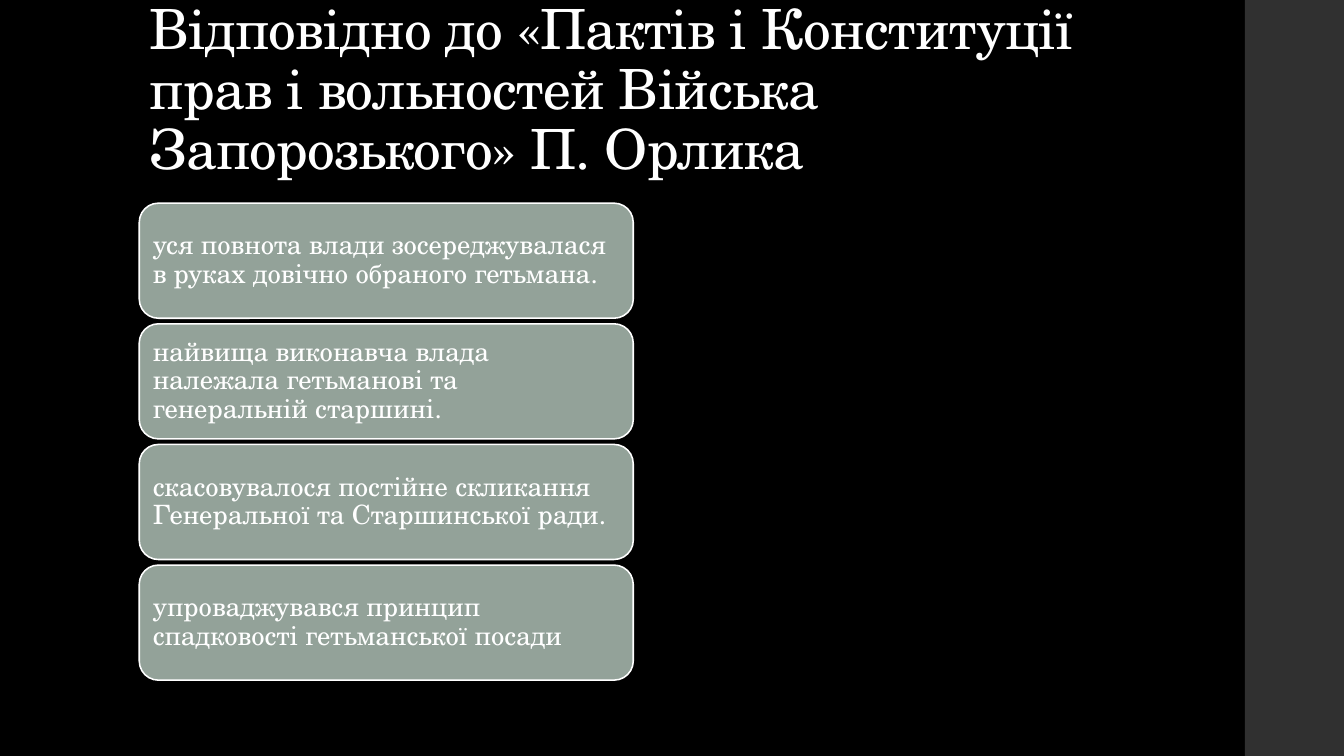
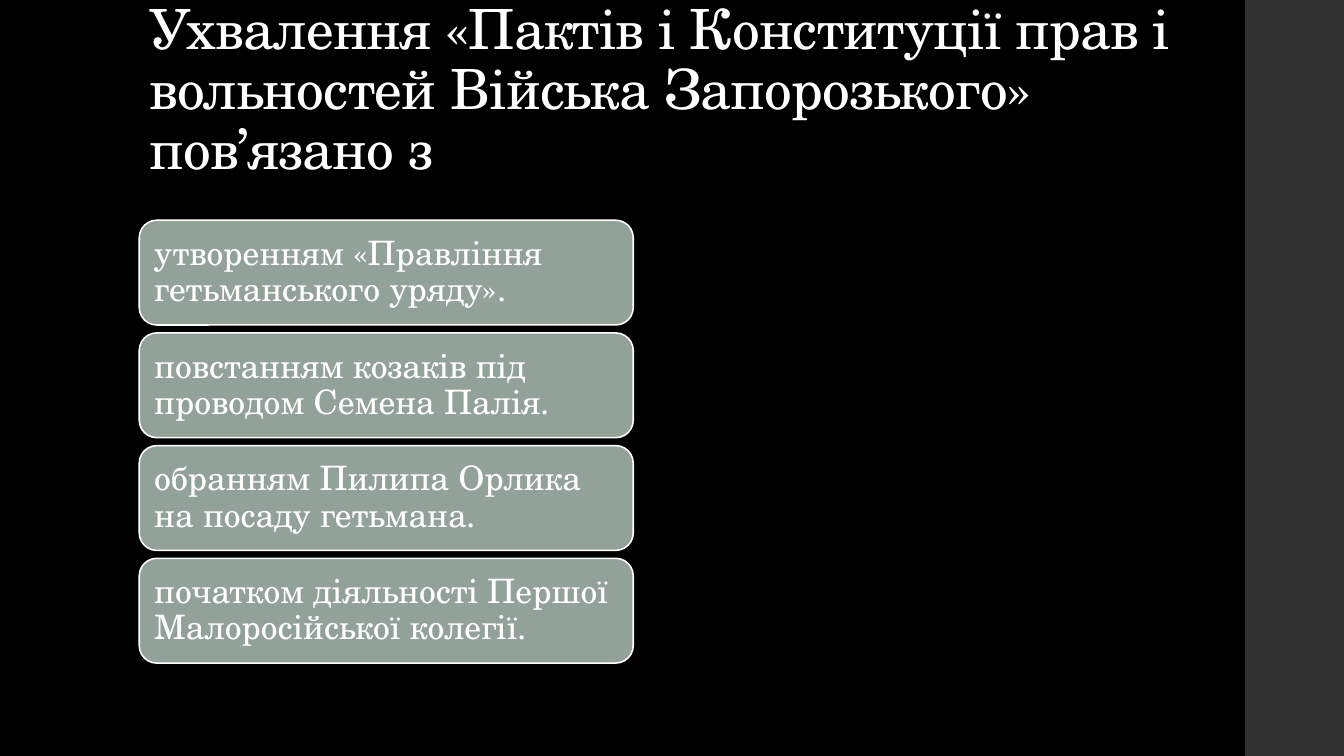
from dataclasses import dataclass

from pptx import Presentation
from pptx.dml.color import RGBColor
from pptx.enum.shapes import MSO_SHAPE as SHAPE
from pptx.enum.text import MSO_ANCHOR as ANCHOR, MSO_AUTO_SIZE as AUTO, PP_ALIGN as ALIGN
from pptx.util import Cm, Pt

SLIDES = [
    {
        "title": "Відповідно до «Пактів і Конституції прав і вольностей "
                 "Війська Запорозького» П. Орлика",
        "cards": [
            "уся повнота влади зосереджувалася в руках довічно обраного гетьмана.",
            "найвища виконавча влада належала гетьманові та генеральній старшині.",
            "скасовувалося постійне скликання Генеральної та Старшинської ради.",
            "упроваджувався принцип спадковості гетьманської посади",
        ],
        "size": 19, "height": 2.9, "gap": 0.14, "inset": 0.2,
    },
    {
        "title": "Ухвалення «Пактів і Конституції прав і вольностей "
                 "Війська Запорозького» пов’язано з",
        "cards": [
            "утворенням «Правління гетьманського уряду».",
            "повстанням козаків під проводом Семена Палія.",
            "обранням Пилипа Орлика на посаду гетьмана.",
            "початком діяльності Першої Малоросійської колегії.",
        ],
        "size": 24, "height": 2.64, "gap": 0.2, "inset": 0.25,
    },
]


@dataclass(frozen=True)
class Theme:
    font: str = "TeX Gyre Schola"
    title_size: float = 39.6
    line_width: float = 1.1
    line_spacing: float = 0.9
    back: RGBColor = RGBColor.from_string("000000")
    band: RGBColor = RGBColor.from_string("303030")
    card: RGBColor = RGBColor.from_string("93A299")
    text: RGBColor = RGBColor.from_string("FFFFFF")


THEME = Theme()
SLIDE_W, SLIDE_H = 33.87, 19.05
BAND_LEFT = 31.37
LEFT = 3.51
TITLE_TOP, TITLE_W, TITLE_H = 1.02, 26.92, 3.68
CARD_W = 12.45
STACK_MIDDLE = 11.13


def style(p, size):
    p.alignment = ALIGN.LEFT
    p.line_spacing = THEME.line_spacing
    p.font.name = THEME.font
    p.font.size = Pt(size)
    p.font.color.rgb = THEME.text


def add_box(s, shape, left, top, width, height, fill):
    sp = s.shapes.add_shape(shape, Cm(left), Cm(top), Cm(width), Cm(height))
    sp.shadow.inherit = False
    sp.fill.solid()
    sp.fill.fore_color.rgb = fill
    sp.line.fill.background()
    return sp


def set_up_master(master, layout, s):
    master.background.fill.solid()
    master.background.fill.fore_color.rgb = THEME.back
    band = add_box(s, SHAPE.RECTANGLE, BAND_LEFT, 0, SLIDE_W - BAND_LEFT, SLIDE_H, THEME.band)
    master.element.cSld.spTree.insert(2, band.element)
    title = layout.placeholders[0]
    title.left, title.top = Cm(LEFT), Cm(TITLE_TOP)
    title.width, title.height = Cm(TITLE_W), Cm(TITLE_H)
    title.text_frame.vertical_anchor = ANCHOR.BOTTOM
    title.text_frame.auto_size = AUTO.NONE


def add_title(s, text):
    tf = s.shapes.title.text_frame
    tf.text = text
    p = tf.paragraphs[0]
    style(p, THEME.title_size)
    p.runs[0].font.size = Pt(THEME.title_size)
    p.runs[0].font._element.set("spc", "-50")


def add_card(s, text, top, data):
    sp = add_box(s, SHAPE.ROUNDED_RECTANGLE, LEFT, top, CARD_W, data["height"], THEME.card)
    sp.line.color.rgb = THEME.text
    sp.line.width = Pt(THEME.line_width)
    tf = sp.text_frame
    tf.word_wrap = True
    tf.vertical_anchor = ANCHOR.MIDDLE
    tf.margin_left = tf.margin_right = tf.margin_top = tf.margin_bottom = Cm(data["inset"])
    tf.text = text
    style(tf.paragraphs[0], data["size"])


def add_cards(s, data):
    pitch = data["height"] + data["gap"]
    top = STACK_MIDDLE - (len(data["cards"]) * pitch - data["gap"]) / 2
    for i, text in enumerate(data["cards"]):
        add_card(s, text, top + i * pitch, data)


def main():
    prs = Presentation()
    prs.slide_width, prs.slide_height = Cm(SLIDE_W), Cm(SLIDE_H)
    layout = prs.slide_layouts.get_by_name("Title Only")
    slides = [prs.slides.add_slide(layout) for _ in SLIDES]
    set_up_master(prs.slide_master, layout, slides[0])
    for s, data in zip(slides, SLIDES):
        add_title(s, data["title"])
        add_cards(s, data)
    prs.save("out.pptx")


if __name__ == "__main__":
    main()
